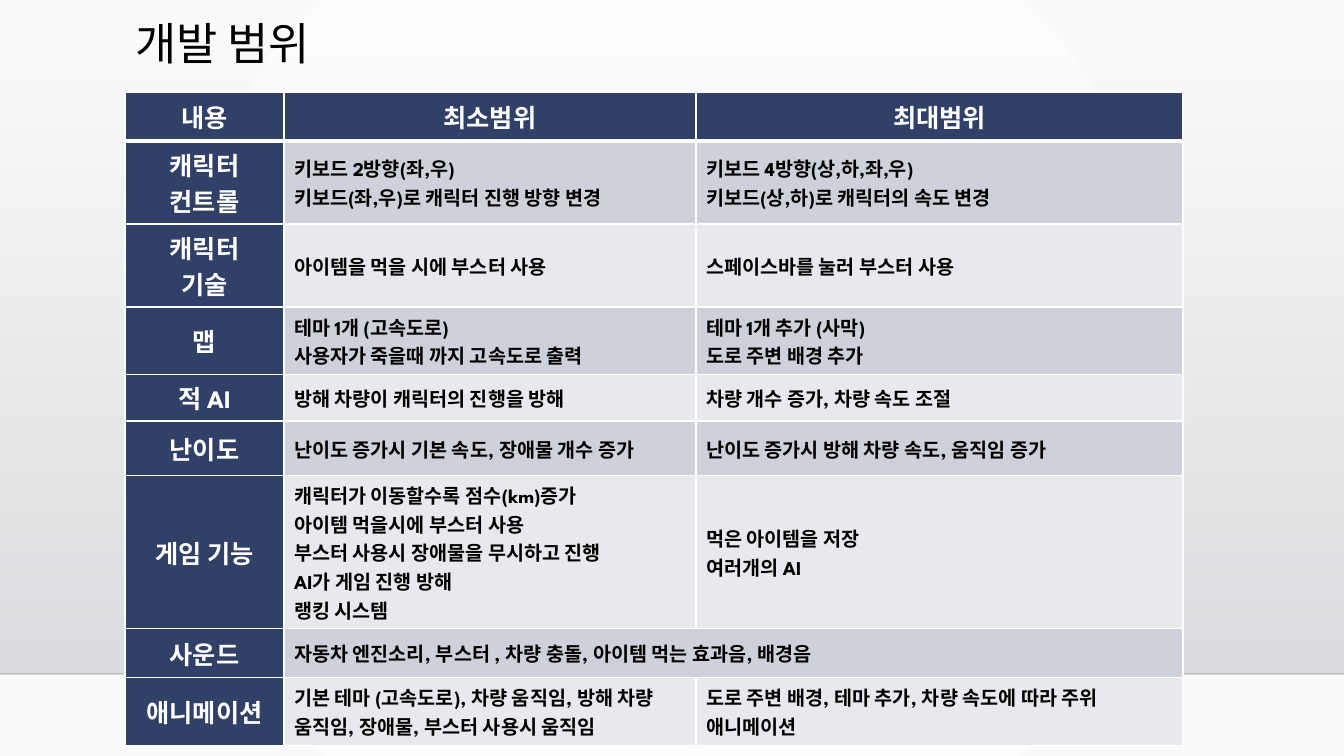
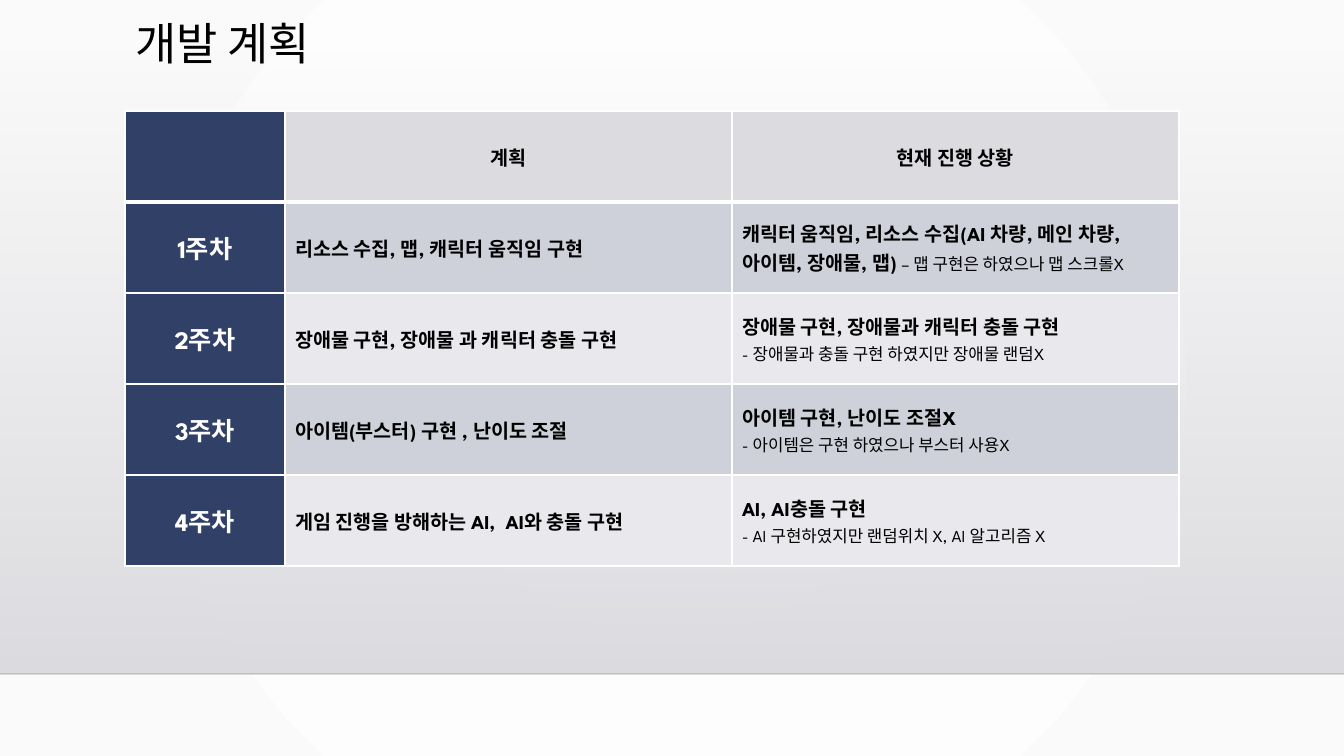
from lxml.etree import SubElement
from pptx import Presentation
from pptx.dml.color import RGBColor
from pptx.enum.shapes import MSO_CONNECTOR as Connector, MSO_SHAPE as Shape
from pptx.enum.text import MSO_ANCHOR as Anchor, MSO_AUTO_SIZE as AutoSize, PP_ALIGN as Align
from pptx.oxml import parse_xml
from pptx.oxml.ns import nsdecls, qn
from pptx.util import Emu, Pt

FONT = "League Spartan"
BLACK, WHITE, PAPER = "000000", "FFFFFF", "FAFAFA"
NAVY, GREY, GREY_END = "314066", "DCDCE0", "DEDEE2"
STRIPES = ("CFD1DA", "E9E9ED")
SLIDE_W, SLIDE_H = 1344, 756
BAND_TOP, BAND_BOTTOM = 51, 674
MARGIN = 125
TITLE_BOX = (MARGIN, 17, 1058, 116)

SCOPE = [
    ["내용", "최소범위", "최대범위"],
    ["캐릭터\n컨트롤", "키보드 2방향(좌,우)\n키보드(좌,우)로 캐릭터 진행 방향 변경",
     "키보드 4방향(상,하,좌,우)\n키보드(상,하)로 캐릭터의 속도 변경"],
    ["캐릭터\n기술", "아이템을 먹을 시에 부스터 사용", "스페이스바를 눌러 부스터 사용"],
    ["맵", "테마 1개 (고속도로)\n사용자가 죽을때 까지 고속도로 출력",
     "테마 1개 추가 (사막)\n도로 주변 배경 추가"],
    ["적 AI", "방해 차량이 캐릭터의 진행을 방해", "차량 개수 증가, 차량 속도 조절"],
    ["난이도", "난이도 증가시 기본 속도, 장애물 개수 증가",
     "난이도 증가시 방해 차량 속도, 움직임 증가"],
    ["게임 기능", "캐릭터가 이동할수록 점수(km)증가\n아이템 먹을시에 부스터 사용\n"
     "부스터 사용시 장애물을 무시하고 진행\nAI가 게임 진행 방해\n랭킹 시스템",
     "먹은 아이템을 저장\n여러개의 AI"],
    ["사운드", "자동차 엔진소리, 부스터 , 차량 충돌, 아이템 먹는 효과음, 배경음"],
    ["애니메이션", "기본 테마 (고속도로), 차량 움직임, 방해 차량 움직임, 장애물, 부스터 사용시 움직임",
     "도로 주변 배경, 테마 추가, 차량 속도에 따라 주위\n애니메이션"],
]
PLAN = [
    ["", "계획", "현재 진행 상황"],
    ["1주차", "리소스 수집, 맵, 캐릭터 움직임 구현",
     "캐릭터 움직임, 리소스 수집(AI 차량, 메인 차량, 아이템, 장애물, 맵) |– 맵 구현은 하였으나 맵 스크롤X"],
    ["2주차", "장애물 구현, 장애물 과 캐릭터 충돌 구현",
     "장애물 구현, 장애물과 캐릭터 충돌 구현\n|- 장애물과 충돌 구현 하였지만 장애물 랜덤X"],
    ["3주차", "아이템(부스터) 구현 , 난이도 조절",
     "아이템 구현, 난이도 조절X\n|- 아이템은 구현 하였으나 부스터 사용X"],
    ["4주차", "게임 진행을 방해하는 AI,  AI와 충돌 구현",
     "AI, AI충돌 구현\n|- AI 구현하였지만 랜덤위치 X, AI 알고리즘 X"],
]


def px(length):
    """Turn pixels into EMU."""
    return Emu(round(length * 914400 / 100.8))


def rgb(value):
    """Turn a hex string into a colour."""
    return RGBColor.from_string(value)


def set_alpha(properties, percent):
    """Give the first colour inside the properties an opacity."""
    colour = next(properties.iter(qn("a:srgbClr")))
    SubElement(colour, qn("a:alpha")).set("val", str(percent * 1000))


def set_gradient(fill, start, end):
    """Make a two-stop gradient running downwards."""
    fill.gradient()
    fill.gradient_angle = 270
    for stop, colour, position in zip(fill.gradient_stops, (start, end), (0, 1)):
        stop.color.rgb = rgb(colour)
        stop.position = position


def add_run(paragraph, text, size, colour, bold=False):
    """Append one formatted run."""
    run = paragraph.add_run()
    run.text = text
    run.font.name, run.font.size, run.font.bold = FONT, Pt(size), bold
    run.font.color.rgb = rgb(colour)


def dress_master(master, slide):
    """Put the page gradient, grey band and floor line on the master."""
    set_gradient(master.background.fill, WHITE, PAPER)
    linear = next(master.element.iter(qn("a:lin")))
    linear.getparent().replace(linear, parse_xml(
        f'<a:path {nsdecls("a")} path="circle">'
        '<a:fillToRect l="50000" t="50000" r="50000" b="50000"/></a:path>'))

    band = slide.shapes.add_shape(Shape.RECTANGLE, 0, px(BAND_TOP), px(SLIDE_W),
                                  px(BAND_BOTTOM - BAND_TOP))
    band.shadow.inherit = False
    band.line.fill.background()
    set_gradient(band.fill, GREY, GREY_END)
    set_alpha(band.element.spPr, 0)

    floor = slide.shapes.add_connector(Connector.STRAIGHT, 0, px(BAND_BOTTOM),
                                       px(SLIDE_W), px(BAND_BOTTOM))
    floor.line.width = Pt(1)
    floor.line.color.rgb = rgb("000001")
    set_alpha(floor.element.spPr, 20)
    SubElement(floor.element.spPr, qn("a:effectLst"))

    for order, part in enumerate((band, floor)):
        next(part.element.iter(qn("p:cNvPr"))).set("id", str(100 + order))
        master.shapes.element.insert(2 + order, part.element)


def add_title(slide, text, box):
    """Place and format the slide title."""
    title = slide.shapes.title
    title.left, title.top, title.width, title.height = map(px, box)
    frame = title.text_frame
    frame.auto_size, frame.vertical_anchor = AutoSize.NONE, Anchor.TOP
    heading = frame.paragraphs[0]
    heading.alignment, heading.line_spacing = Align.LEFT, 0.9
    add_run(heading, text, 32, BLACK)


def set_borders(cell, top, bottom):
    """Draw white borders, with the top and bottom widths in points."""
    properties = cell._tc.get_or_add_tcPr()
    widths = {"lnL": 1, "lnR": 1, "lnT": top, "lnB": bottom}
    for order, (side, width) in enumerate(widths.items()):
        properties.insert(order, parse_xml(
            f'<a:{side} {nsdecls("a")} w="{Pt(width)}"><a:solidFill>'
            f'<a:srgbClr val="{WHITE}"/></a:solidFill></a:{side}>'))


def write_cell(cell, text, size, colour, align):
    """Write lines in bold; what follows a bar is a small plain note."""
    cell.vertical_anchor = Anchor.MIDDLE
    frame = cell.text_frame
    for order, line in enumerate(text.split("\n")):
        paragraph = frame.add_paragraph() if order else frame.paragraphs[0]
        paragraph.alignment = align
        statement, _, note = line.partition("|")
        if statement:
            add_run(paragraph, statement, size, colour, True)
        if note:
            add_run(paragraph, note, 12, colour)


def add_grid(slide, rows, origin, widths, heights, head_fill, head_size, head_colour):
    """Build a table with a header row, navy labels and striped rows."""
    left, top = origin
    grid = slide.shapes.add_table(len(rows), len(widths), px(left), px(top),
                                  px(sum(widths)), px(sum(heights))).table
    for column, width in zip(grid.columns, widths):
        column.width = px(width)
    for r, (texts, height) in enumerate(zip(rows, heights)):
        grid.rows[r].height = px(height)
        for c in range(len(widths)):
            cell = grid.cell(r, c)
            if c == 0:
                fill, size, colour, align = NAVY, 18, WHITE, Align.CENTER
            elif r == 0:
                fill, size, colour, align = head_fill, head_size, head_colour, Align.CENTER
            else:
                fill, size, colour, align = STRIPES[(r - 1) % 2], 14, BLACK, Align.LEFT
            cell.fill.solid()
            cell.fill.fore_color.rgb = rgb(fill)
            set_borders(cell, 3 if r == 1 else 1, 3 if r == 0 else 1)
            if c < len(texts):
                write_cell(cell, texts[c], size, colour, align)
        if len(texts) < len(widths):
            grid.cell(r, len(texts) - 1).merge(grid.cell(r, len(widths) - 1))


def main():
    """Build the two slides and save them."""
    deck = Presentation()
    deck.slide_width, deck.slide_height = px(SLIDE_W), px(SLIDE_H)
    title_only = deck.slide_layouts[5]

    scope = deck.slides.add_slide(title_only)
    dress_master(deck.slide_master, scope)
    add_title(scope, "개발 범위", TITLE_BOX)
    add_grid(scope, SCOPE, (MARGIN, 92), (159, 412, 487),
             (49, 70, 70, 56, 45, 55, 126, 49, 56), NAVY, 18, WHITE)

    plan = deck.slides.add_slide(title_only)
    add_title(plan, "개발 계획", TITLE_BOX)
    add_grid(plan, PLAN, (MARGIN, 111), (160, 447, 447), [91] * len(PLAN), GREY, 14, BLACK)

    deck.save("out.pptx")


if __name__ == "__main__":
    main()
